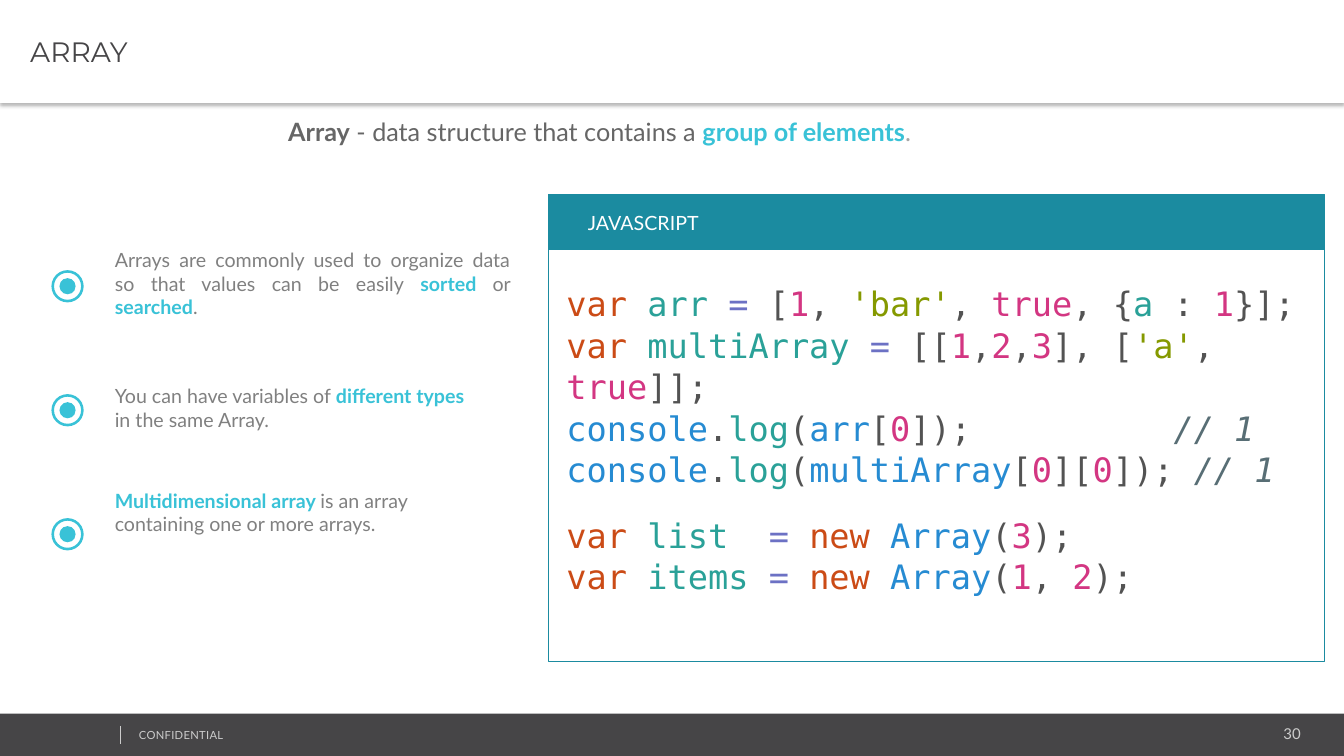
import pptx
import pptx.util
import pptx.dml.color
import pptx.enum.shapes
import pptx.enum.text
import pptx.oxml
import pptx.oxml.ns

Inches, Pt = pptx.util.Inches, pptx.util.Pt
RGBColor = pptx.dml.color.RGBColor
SHAPE = pptx.enum.shapes.MSO_SHAPE
ALIGN = pptx.enum.text.PP_ALIGN
ANCHOR = pptx.enum.text.MSO_ANCHOR

WHITE = RGBColor(0xFF, 0xFF, 0xFF)
CHARCOAL = RGBColor(0x46, 0x45, 0x47)
SILVER = RGBColor(0xCC, 0xCC, 0xCC)
PALE = RGBColor(0xA6, 0xA6, 0xA6)
GRAY = RGBColor(0x80, 0x80, 0x80)
DARK = RGBColor(0x66, 0x66, 0x66)
AQUA = RGBColor(0x39, 0xC2, 0xD7)
TEAL = RGBColor(0x1B, 0x8B, 0xA0)
KEYWORD = RGBColor(0xCB, 0x4B, 0x16)
NAME = RGBColor(0x2A, 0xA1, 0x98)
OPERATOR = RGBColor(0x6C, 0x71, 0xC4)
PLAIN = RGBColor(0x53, 0x53, 0x53)
VALUE = RGBColor(0xD3, 0x36, 0x82)
STRING = RGBColor(0x85, 0x99, 0x00)
OBJECT = RGBColor(0x26, 0x8B, 0xD2)
COMMENT = RGBColor(0x58, 0x6E, 0x75)

TITLE = "ARRAY"
HEADLINE = [("Array", DARK, "b"), (" - data structure that contains a ", DARK),
            ("group of elements", AQUA, "b"), (".", PALE)]
POINTS = [
    (2.41, 4.12, ALIGN.JUSTIFY, [
        ("Arrays are commonly used to organize data so that values can be easily ", GRAY),
        ("sorted ", AQUA, "b"), ("or ", GRAY), ("searched", AQUA, "b"), (".", GRAY)]),
    (3.76, 3.85, ALIGN.LEFT, [
        ("You can have variables of ", GRAY), ("different types ", AQUA, "b"),
        ("in the same Array.", GRAY)]),
    (4.8, 3.57, ALIGN.LEFT, [
        ("Multidimensional array ", AQUA, "b"),
        ("is an array containing one or more arrays.", GRAY)]),
]
CODE = [
    [("var ", KEYWORD), ("arr ", NAME), ("=", OPERATOR), (" [", PLAIN), ("1", VALUE),
     (", ", PLAIN), ("'bar'", STRING), (", ", PLAIN), ("true", VALUE), (", {", PLAIN),
     ("a", NAME), (" : ", PLAIN), ("1", VALUE), ("}];", PLAIN)],
    [("var ", KEYWORD), ("multiArray ", NAME), ("=", OPERATOR), (" [[", PLAIN),
     ("1", VALUE), (",", PLAIN), ("2", VALUE), (",", PLAIN), ("3", VALUE),
     ("], [", PLAIN), ("'a'", STRING), (", ", PLAIN), ("true", VALUE), ("]];", PLAIN)],
    [("console", OBJECT), (".", PLAIN), ("log", NAME), ("(", PLAIN), ("arr", OBJECT),
     ("[", PLAIN), ("0", VALUE), ("]);          ", PLAIN), ("// 1", COMMENT, "i")],
    [("console", OBJECT), (".", PLAIN), ("log", NAME), ("(", PLAIN),
     ("multiArray", OBJECT), ("[", PLAIN), ("0", VALUE), ("][", PLAIN), ("0", VALUE),
     ("]); ", PLAIN), ("// 1", COMMENT, "i")],
    [("var ", KEYWORD), ("list  ", NAME), ("= ", OPERATOR), ("new ", KEYWORD),
     ("Array", OBJECT), ("(", PLAIN), ("3", VALUE), (");", PLAIN)],
    [("var ", KEYWORD), ("items ", NAME), ("= ", OPERATOR), ("new ", KEYWORD),
     ("Array", OBJECT), ("(", PLAIN), ("1", VALUE), (", ", PLAIN), ("2", VALUE),
     (");", PLAIN)],
]
SECOND_BLOCK = 4
SHADOW = (f'<a:effectLst {pptx.oxml.ns.nsdecls("a")}>'
          '<a:outerShdw blurRad="39370" dist="25400" dir="5400000" rotWithShape="0">'
          '<a:srgbClr val="000000"><a:alpha val="30000"/></a:srgbClr>'
          '</a:outerShdw></a:effectLst>')
NO_EFFECT = f'<a:effectLst {pptx.oxml.ns.nsdecls("a")}/>'


def write(box, lines, size=14, font="Lato", align=ALIGN.LEFT, anchor=ANCHOR.TOP,
          left=0.1, spacing=None, gap_before=None, tracking=None):
    frame = box.text_frame
    frame.word_wrap = True
    frame.auto_size = pptx.enum.text.MSO_AUTO_SIZE.NONE
    frame.vertical_anchor = anchor
    frame.margin_left = Inches(left)
    for index, line in enumerate(lines):
        para = frame.paragraphs[0] if index == 0 else frame.add_paragraph()
        para.alignment = align
        para.space_before = Pt(17 if index and index == gap_before else 0)
        if spacing:
            para.line_spacing = spacing
        for text, color, *marks in line:
            span = para.add_run()
            span.text = text
            span.font.name = font
            span.font.size = Pt(size)
            span.font.color.rgb = color
            span.font.bold = "b" in marks
            span.font.italic = "i" in marks
            if tracking:
                span.font._element.set("spc", str(tracking))


def place(*lengths):
    return [Inches(length) for length in lengths]


def add_shape(page, kind, at, fill=None, line=None):
    shape = page.shapes.add_shape(kind, *place(*at))
    shape.shadow.inherit = False
    if fill is None:
        shape.fill.background()
    else:
        shape.fill.solid()
        shape.fill.fore_color.rgb = fill
    if line is None:
        shape.line.fill.background()
    else:
        shape.line.color.rgb = line
        shape.line.width = Pt(0.75)
    return shape


def add_text(page, at, lines, **style):
    write(page.shapes.add_textbox(*place(*at)), lines, **style)


def add_title(page):
    title = page.shapes.title
    title.left, title.top, title.width, title.height = place(0, 0, 13.33, 1.02)
    title.fill.solid()
    title.fill.fore_color.rgb = WHITE
    title._element.spPr.append(pptx.oxml.parse_xml(SHADOW))
    write(title, [[(TITLE, CHARCOAL)]], size=20, font="Montserrat",
          anchor=ANCHOR.MIDDLE, left=0.3)


def add_footer(page):
    add_shape(page, SHAPE.RECTANGLE, (0, 7.08, 13.33, 0.42), CHARCOAL)
    add_text(page, (10.82, 7.14, 2.18, 0.28), [[("30", SILVER)]], size=10.7,
             align=ALIGN.RIGHT)
    add_text(page, (1.28, 7.18, 3.38, 0.24), [[("CONFIDENTIAL", SILVER)]], size=8,
             tracking=20)
    divider = page.shapes.add_connector(pptx.enum.shapes.MSO_CONNECTOR.STRAIGHT,
                                        *place(1.19, 7.2, 1.19, 7.38))
    divider.line.color.rgb = SILVER
    divider.line.width = Pt(0.25)
    divider._element.spPr.append(pptx.oxml.parse_xml(NO_EFFECT))


def add_points(page):
    for index, (top, width, align, spans) in enumerate(POINTS):
        add_text(page, (1.04, top, width, 0.71), [spans], align=align)
        marker_top = 2.68 + 1.23 * index
        add_shape(page, SHAPE.OVAL, (0.59, marker_top + 0.08, 0.16, 0.16), AQUA)
        ring = add_shape(page, SHAPE.DONUT, (0.51, marker_top, 0.32, 0.32), AQUA)
        ring.adjustments[0] = 0.08


def add_code(page):
    header = add_shape(page, SHAPE.RECTANGLE, (5.44, 1.93, 7.7, 0.55), TEAL, TEAL)
    write(header, [[("JAVASCRIPT", WHITE)]], anchor=ANCHOR.MIDDLE, left=0.39)
    add_shape(page, SHAPE.RECTANGLE, (5.44, 2.43, 7.7, 4.13), line=TEAL)
    add_text(page, (5.52, 2.75, 7.68, 3.33), CODE, size=24, font="DejaVu Sans Mono",
             spacing=1.03, gap_before=SECOND_BLOCK)


def main():
    deck = pptx.Presentation()
    deck.slide_width, deck.slide_height = place(13.33, 7.5)
    page = deck.slides.add_slide(deck.slide_layouts[5])
    add_title(page)
    add_footer(page)
    add_text(page, (2.76, 1.1, 7.61, 0.4), [HEADLINE], size=18, align=ALIGN.JUSTIFY)
    add_points(page)
    add_code(page)
    deck.save("out.pptx")


if __name__ == "__main__":
    main()
